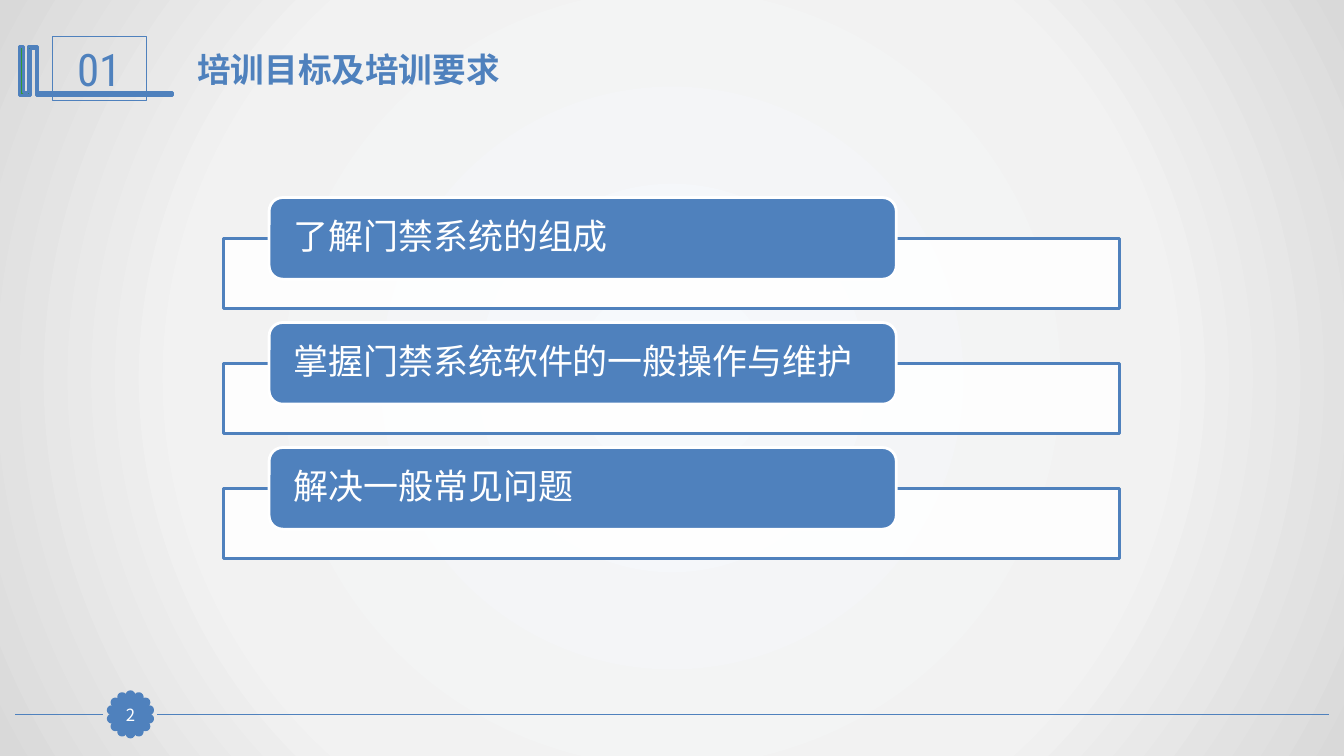
import math

import pptx
import pptx.dml.color
import pptx.enum.shapes
import pptx.enum.text
import pptx.oxml
import pptx.oxml.ns
import pptx.util

Pt = pptx.util.Pt
SHAPES = pptx.enum.shapes.MSO_SHAPE
ALIGN = pptx.enum.text.PP_ALIGN
ANCHOR = pptx.enum.text.MSO_ANCHOR

# Content
SECTION = "01"
TITLE = "培训目标及培训要求"
GOALS = ["了解门禁系统的组成", "掌握门禁系统软件的一般操作与维护", "解决一般常见问题"]
PAGE_NUMBER = "2"

THEME = {
    "accent": "4F81BD", "white": "FFFFFF", "mark": "339933",
    "backdrop": [(0, "F6F9FC"), (63, "F2F2F2"), (100, "D9D9D9")],
    "body": "Noto Sans CJK SC", "heading": "Roboto", "number": "Roboto Condensed",
    "section_size": 32, "title_size": 24, "goal_size": 25, "page_size": 12,
}
ACCENT, WHITE = THEME["accent"], THEME["white"]

# Layout, in points
PAGE_SIZE = (960, 540)
FRAME = (159.84, 170.5, 640, 49.7)
LABEL = (192.24, 141.1, 448, 58.3)
GOAL_STEP = 89.28
BADGE_CENTRE, BADGE_RADIUS = (93.2, 510.3), 13.7
BADGE_SIDE, PETAL, PETAL_COUNT = 22.6, 5, 14
FOOTER_SPANS = [(949, 112.3), (73.4, 10.8)]
MARK = [(26.6, 33.1), (27.4, 33.1), (27.4, 66.2), (123.1, 66.2), (123.1, 67.7),
        (26.6, 67.7), (25.9, 67.7), (25.9, 34.6), (22.3, 34.6), (22.3, 67.7),
        (13.7, 67.7), (13.7, 33.1), (16.6, 33.1), (16.6, 65.5), (20.2, 65.5), (20.2, 33.1)]


def set_values(target, values):
    for name, value in values.items():
        setattr(target, name, value)


def rgb(color):
    return pptx.dml.color.RGBColor.from_string(color)


def element(xml):
    space = pptx.oxml.ns.nsdecls("a")
    return pptx.oxml.parse_xml(xml.replace("/>", f" {space}/>", 1))


def paint(shape, fill, line, width):
    shape.shadow.inherit = False
    if fill:
        shape.fill.solid()
        shape.fill.fore_color.rgb = rgb(fill)
    else:
        shape.fill.background()
    shape.line.color.rgb = rgb(line)
    shape.line.width = Pt(width)
    return shape


def add_box(page, kind, place, fill, line, width):
    shape = page.shapes.add_shape(kind, *map(Pt, place))
    return paint(shape, fill, line, width)


def write(box, text, font, size, color, bold=False, align=ALIGN.LEFT,
          anchor=ANCHOR.MIDDLE, margins=(7.2, 3.6), spacing=1.0):
    side, edge = map(Pt, margins)
    set_values(box.text_frame, {
        "word_wrap": True, "vertical_anchor": anchor, "margin_left": side,
        "margin_right": side, "margin_top": edge, "margin_bottom": edge})
    para = box.text_frame.paragraphs[0]
    set_values(para, {"alignment": align, "line_spacing": spacing})
    span = para.add_run()
    span.text = text
    set_values(span.font, {"name": font, "size": Pt(size), "bold": bold})
    span.font.color.rgb = rgb(color)
    span.font._element.find(pptx.oxml.ns.qn("a:latin")).addnext(
        element(f'<a:ea typeface="{THEME["body"]}"/>'))


def draw_backdrop(page):
    stops = "".join(f'<a:gs pos="{at * 1000}"><a:srgbClr val="{color}"/></a:gs>'
                    for at, color in THEME["backdrop"])
    fill = page.background.fill
    fill.solid()
    solid = page.background._cSld.find(".//" + pptx.oxml.ns.qn("a:solidFill"))
    solid.getparent().replace(solid, pptx.oxml.parse_xml(
        f'<a:gradFill {pptx.oxml.ns.nsdecls("a")} rotWithShape="1"><a:gsLst>{stops}</a:gsLst>'
        '<a:path path="circle"><a:fillToRect l="50000" t="50000" r="50000" b="50000"/>'
        '</a:path></a:gradFill>'))


def draw_footer(page):
    middle_x, middle_y = BADGE_CENTRE
    for start, end in FOOTER_SPANS:
        rule = page.shapes.add_connector(pptx.enum.shapes.MSO_CONNECTOR.STRAIGHT,
                                         Pt(start), Pt(middle_y), Pt(end), Pt(middle_y))
        rule.line.color.rgb = rgb(ACCENT)
        rule.line.width = Pt(1.25)
        rule._element.spPr.append(element("<a:effectLst/>"))
    # Scalloped badge: petals evenly spaced on a circle
    for index in range(PETAL_COUNT):
        angle = 2 * math.pi * index / PETAL_COUNT
        left = middle_x + BADGE_RADIUS * math.sin(angle) - PETAL / 2
        top = middle_y - BADGE_RADIUS * math.cos(angle) - PETAL / 2
        add_box(page, SHAPES.OVAL, (left, top, PETAL, PETAL), ACCENT, ACCENT, 2)
    half = BADGE_SIDE / 2
    badge = add_box(page, SHAPES.RECTANGLE,
                    (middle_x - half, middle_y - half, BADGE_SIDE, BADGE_SIDE),
                    ACCENT, ACCENT, 0.75)
    write(badge, PAGE_NUMBER, THEME["body"], THEME["page_size"], WHITE,
          align=ALIGN.CENTER, margins=(0, 0))


def draw_header(page):
    builder = page.shapes.build_freeform(*MARK[0], scale=Pt(1))
    builder.add_line_segments(MARK[1:], close=True)
    paint(builder.convert_to_shape(), THEME["mark"], ACCENT, 2)
    section = add_box(page, SHAPES.RECTANGLE, (37.4, 25.9, 67, 46.1), None, ACCENT, 0.75)
    write(section, SECTION, THEME["number"], THEME["section_size"], ACCENT, align=ALIGN.CENTER)
    title = page.shapes.add_textbox(*map(Pt, (133.9, 31.7, 697.7, 36)))
    write(title, TITLE, THEME["heading"], THEME["title_size"], ACCENT,
          bold=True, anchor=ANCHOR.TOP)


def draw_goals(page):
    for index, goal in enumerate(GOALS):
        shift = index * GOAL_STEP
        left, top, width, height = FRAME
        frame = add_box(page, SHAPES.RECTANGLE, (left, top + shift, width, height),
                        WHITE, ACCENT, 2)
        color = frame._element.spPr.find(".//" + pptx.oxml.ns.qn("a:srgbClr"))
        color.append(element('<a:alpha val="90000"/>'))
        left, top, width, height = LABEL
        label = add_box(page, SHAPES.ROUNDED_RECTANGLE, (left, top + shift, width, height),
                        ACCENT, WHITE, 2)
        write(label, goal, THEME["body"], THEME["goal_size"], WHITE,
              margins=(14.5, 0), spacing=0.9)


def main():
    deck = pptx.Presentation()
    set_values(deck, dict(zip(("slide_width", "slide_height"), map(Pt, PAGE_SIZE))))
    page = deck.slides.add_slide(deck.slide_layouts[6])
    draw_backdrop(page)
    draw_footer(page)
    draw_header(page)
    draw_goals(page)
    deck.save("out.pptx")


if __name__ == "__main__":
    main()
